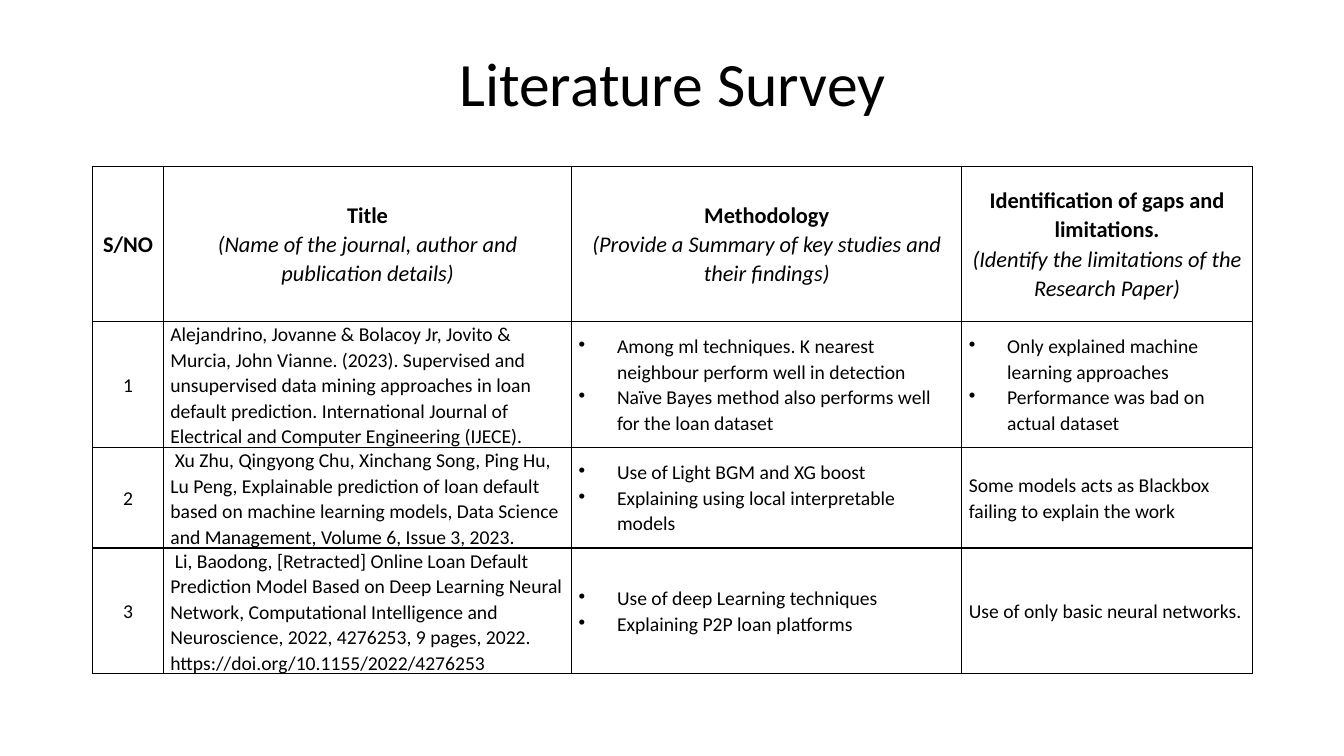
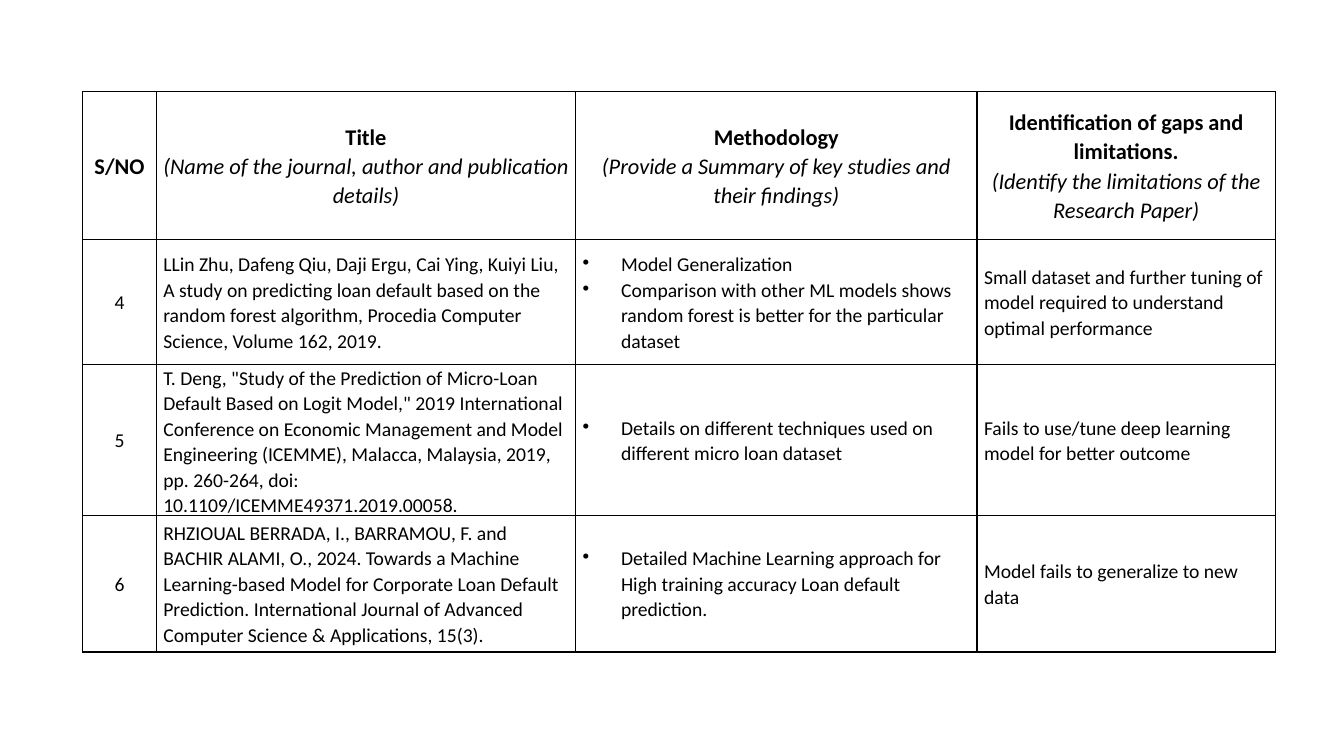
import pptx
import pptx.util
import pptx.dml.color
import pptx.enum.text
import pptx.oxml
import pptx.oxml.ns
import lxml.etree

Inches = pptx.util.Inches
Pt = pptx.util.Pt
ALIGN = pptx.enum.text.PP_ALIGN
MIDDLE = pptx.enum.text.MSO_ANCHOR.MIDDLE

# Shared look
COLORS = {"ink": "000000", "paper": "FFFFFF"}
FONT = "Calibri"
BULLET = "• "
INDENT = Inches(0.38)

HEAD = [
    "S/NO",
    "Title\n(Name of the journal, author and publication details)",
    "Methodology\n(Provide a Summary of key studies and their findings)",
    "Identification of gaps and limitations.\n(Identify the limitations of the Research Paper)",
]

# Each page: title, table corner, column widths, row heights, body rows
PAGES = [
    {
        "title": "Literature Survey",
        "at": (0.92, 1.65),
        "cols": [0.7, 4.05, 3.87, 2.88],
        "rows": [1.54, 1.2, 0.96, 1.2],
        "body": [
            ["1",
             "Alejandrino, Jovanne & Bolacoy Jr, Jovito & Murcia, John Vianne. (2023). "
             "Supervised and unsupervised data mining approaches in loan default prediction. "
             "International Journal of Electrical and Computer Engineering (IJECE).",
             "• Among ml techniques. K nearest neighbour perform well in detection\n"
             "• Naïve Bayes method also performs well for the loan dataset",
             "• Only explained machine learning approaches\n"
             "• Performance was bad on actual dataset"],
            ["2",
             " Xu Zhu, Qingyong Chu, Xinchang Song, Ping Hu, Lu Peng, Explainable prediction "
             "of loan default based on machine learning models, Data Science and Management, "
             "Volume 6, Issue 3, 2023.",
             "• Use of Light BGM and XG boost\n"
             "• Explaining using local interpretable models",
             "Some models acts as Blackbox failing to explain the work"],
            ["3",
             " Li, Baodong, [Retracted] Online Loan Default Prediction Model Based on Deep "
             "Learning Neural Network, Computational Intelligence and Neuroscience, 2022, "
             "4276253, 9 pages, 2022. https://doi.org/10.1155/2022/4276253",
             "• Use of deep Learning techniques\n• Explaining P2P loan platforms",
             "Use of only basic neural networks."],
        ],
    },
    {
        "title": None,
        "at": (0.82, 0.91),
        "cols": [0.73, 4.16, 3.98, 2.96],
        "rows": [1.47, 1.24, 1.35, 1.35],
        "body": [
            ["4",
             "LLin Zhu, Dafeng Qiu, Daji Ergu, Cai Ying, Kuiyi Liu,\n"
             "A study on predicting loan default based on the random forest algorithm, "
             "Procedia Computer Science, Volume 162, 2019.",
             "• Model Generalization\n"
             "• Comparison with other ML models shows random forest is better for the "
             "particular dataset",
             "Small dataset and further tuning of model required to understand optimal performance"],
            ["5",
             'T. Deng, "Study of the Prediction of Micro-Loan Default Based on Logit Model," '
             "2019 International Conference on Economic Management and Model Engineering "
             "(ICEMME), Malacca, Malaysia, 2019, pp. 260-264, doi: "
             "10.1109/ICEMME49371.2019.00058.",
             "• Details on different techniques used on different micro loan dataset",
             "Fails to use/tune deep learning model for better outcome"],
            ["6",
             "RHZIOUAL BERRADA, I., BARRAMOU, F. and BACHIR ALAMI, O., 2024. Towards a Machine "
             "Learning-based Model for Corporate Loan Default Prediction. International Journal "
             "of Advanced Computer Science & Applications, 15(3).",
             "• Detailed Machine Learning approach for High training accuracy Loan default "
             "prediction.",
             "Model fails to generalize to new data"],
        ],
    },
]


def write(frame, text, size=14, align=ALIGN.LEFT, space=1.07, head=False):
    """Fill a frame, one paragraph a line; a head has a bold line, then italics."""
    frame.word_wrap = True
    for i, line in enumerate(text.split("\n")):
        par = frame.add_paragraph() if i else frame.paragraphs[0]
        par.alignment = align
        par.line_spacing = space
        if line.startswith(BULLET):
            props = par._p.get_or_add_pPr()
            props.set("marL", str(INDENT))
            props.set("indent", str(-INDENT))
            mark = lxml.etree.SubElement(props, pptx.oxml.ns.qn("a:buChar"))
            mark.set("char", BULLET.strip())
        run = par.add_run()
        run.text = line.removeprefix(BULLET)
        font = run.font
        font.name = FONT
        font.size = Pt(size)
        font.bold = head and i == 0
        font.italic = head and i > 0
        font.color.rgb = pptx.dml.color.RGBColor.from_string(COLORS["ink"])


def frame_cell(cell):
    """Give a cell thin borders, a plain fill and its margins."""
    props = cell._tc.get_or_add_tcPr()
    for side in ("lnL", "lnR", "lnT", "lnB"):
        props.append(pptx.oxml.parse_xml(
            f'<a:{side} {pptx.oxml.ns.nsdecls("a")} w="{Pt(1)}"><a:solidFill>'
            f'<a:srgbClr val="{COLORS["ink"]}"/></a:solidFill></a:{side}>'))
    cell.fill.solid()
    cell.fill.fore_color.rgb = pptx.dml.color.RGBColor.from_string(COLORS["paper"])
    cell.vertical_anchor = MIDDLE
    cell.margin_left = cell.margin_right = Inches(0.07)
    cell.margin_top = cell.margin_bottom = 0


deck = pptx.Presentation()
deck.slide_width = Inches(13.33)
deck.slide_height = Inches(7.5)

for page in PAGES:
    slide = deck.slides.add_slide(deck.slide_layouts[6])

    # Title
    if page["title"]:
        box = slide.shapes.add_textbox(Inches(0.92), Inches(0.13), Inches(11.5), Inches(1.45))
        box.text_frame.vertical_anchor = MIDDLE
        write(box.text_frame, page["title"], size=44, align=ALIGN.CENTER, space=0.9)

    # Table grid
    cols, rows = page["cols"], page["rows"]
    left, top = page["at"]
    table = slide.shapes.add_table(len(rows), len(cols), Inches(left), Inches(top),
                                   Inches(sum(cols)), Inches(sum(rows))).table
    table.first_row = table.horz_banding = False
    for col, width in zip(table.columns, cols):
        col.width = Inches(width)
    for row, height in zip(table.rows, rows):
        row.height = Inches(height)

    # Table text
    for r, texts in enumerate([HEAD] + page["body"]):
        for c, text in enumerate(texts):
            cell = table.cell(r, c)
            frame_cell(cell)
            top_row = r == 0
            write(cell.text_frame, text, size=16 if top_row else 14, head=top_row,
                  align=ALIGN.CENTER if top_row or c == 0 else ALIGN.LEFT)

deck.save("out.pptx")
